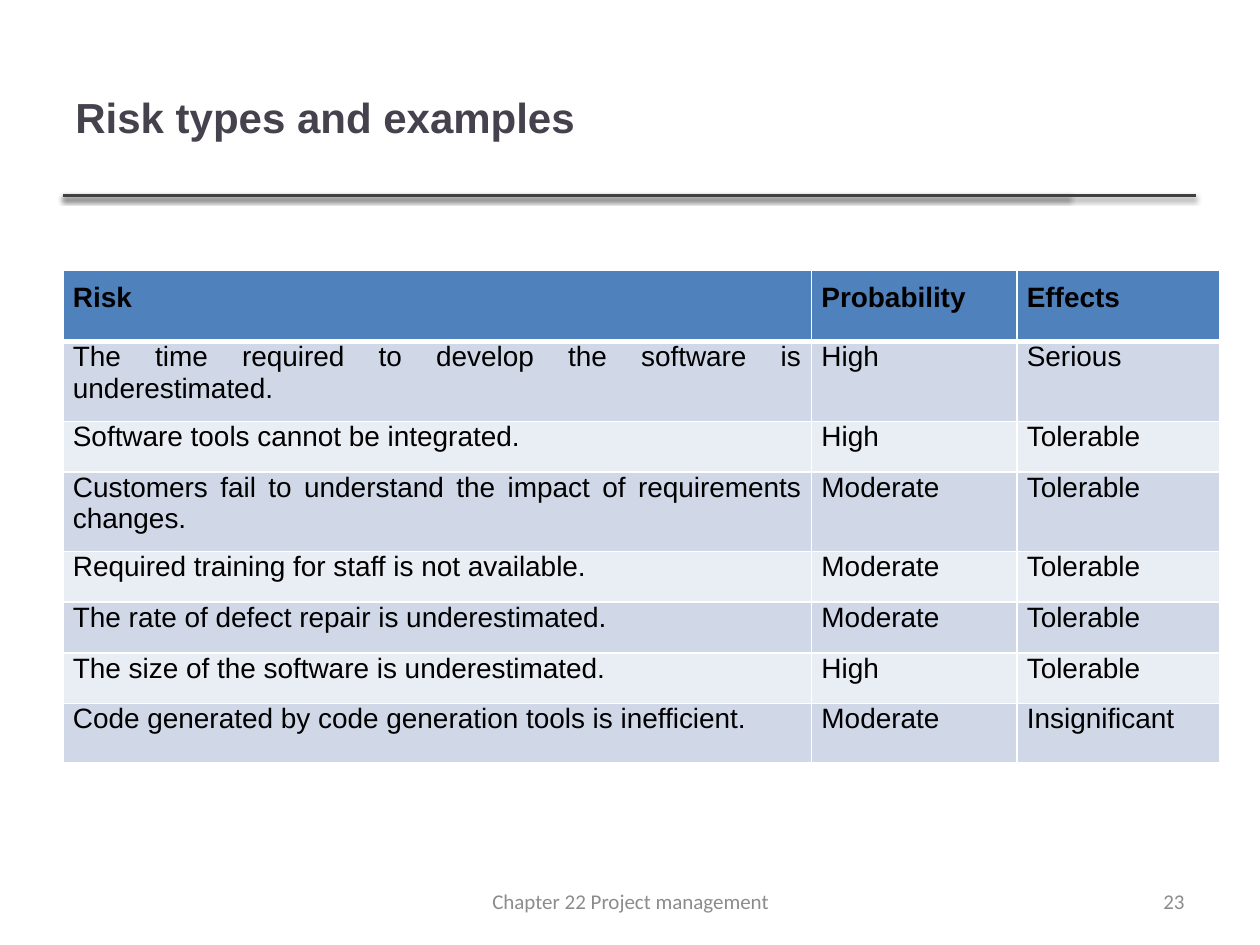
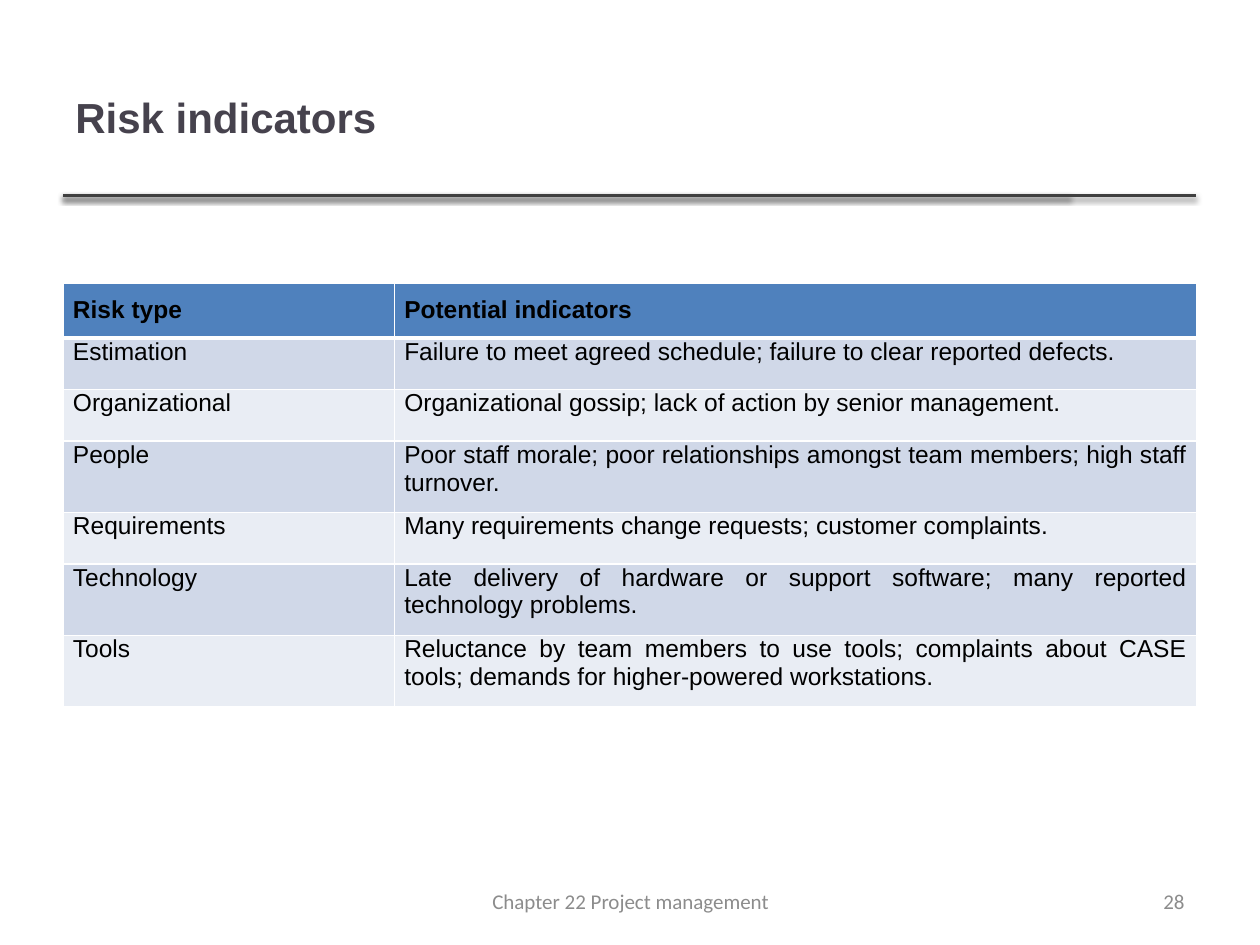
from collections import namedtuple

from lxml import etree
from pptx import Presentation
from pptx import util as u
from pptx.dml.color import RGBColor
from pptx.enum import shapes, text
from pptx.oxml import ns

Box = namedtuple("Box", "left top width height")

WHITE, BLACK = "FFFFFF", "000000"
RULE, TITLE, FOOTER = "404040", "46424D", "8C8C8C"
HEADER, BANDS = "4F81BD", ("D0D8E8", "E9EDF4")

MARGIN = 1.27
TITLE_BOX = Box(MARGIN, 0.76, 20.27, 3.18)
RULE_WIDTHS = (20.29, 22.83)
FOOTER_BOX = Box(8.69, 17.65, 15.44, 1.02)
CHAPTER_WIDTH, NUMBER_WIDTH = 8.05, 5.92
INSET = 0.2

RISKS = [
    ("Risk", "Probability", "Effects"),
    ("The time required to develop the software is underestimated.", "High", "Serious"),
    ("Software tools cannot be integrated.", "High", "Tolerable"),
    ("Customers fail to understand the impact of requirements changes.", "Moderate", "Tolerable"),
    ("Required training for staff is not available.", "Moderate", "Tolerable"),
    ("The rate of defect repair is underestimated.", "Moderate", "Tolerable"),
    ("The size of the software is underestimated.", "High", "Tolerable"),
    ("Code generated by code generation tools is inefficient.", "Moderate", "Insignificant"),
]
INDICATORS = [
    ("Risk type", "Potential indicators"),
    ("Estimation", "Failure to meet agreed schedule; failure to clear reported defects."),
    ("Organizational", "Organizational gossip; lack of action by senior management."),
    ("People", "Poor staff morale; poor relationships amongst team members; high staff turnover."),
    ("Requirements", "Many requirements change requests; customer complaints."),
    ("Technology", "Late delivery of hardware or support software; many reported technology problems."),
    ("Tools", "Reluctance by team members to use tools; complaints about CASE tools; "
              "demands for higher-powered workstations."),
]


def color(value):
    return RGBColor.from_string(value)


def add_xml(parent, tag, **attributes):
    return etree.SubElement(parent, ns.qn(tag), {key: str(value) for key, value in attributes.items()})


def style(paragraph, font_name, size, font_color, align, bold=False):
    paragraph.alignment = align
    for run in paragraph.runs:
        run.font.name = font_name
        run.font.size = u.Pt(size)
        run.font.bold = bold
        run.font.color.rgb = color(font_color)


def add_label(slide, box, wording, *look, bold=False):
    frame = slide.shapes.add_textbox(*map(u.Cm, box)).text_frame
    frame.word_wrap = True
    frame.vertical_anchor = text.MSO_ANCHOR.MIDDLE
    frame.text = wording
    style(frame.paragraphs[0], *look, bold=bold)


def add_rule(slide, left, top, width):
    rule = slide.shapes.add_connector(
        shapes.MSO_CONNECTOR.STRAIGHT, u.Cm(left), u.Cm(top), u.Cm(left + width), u.Cm(top))
    rule.line.color.rgb = color(RULE)
    rule.line.width = u.Pt(2)
    effects = add_xml(rule._element.spPr, "a:effectLst")
    shadow = add_xml(effects, "a:outerShdw", blurRad=u.Pt(3.1), dist=u.Pt(1.6),
                     dir=5400000, rotWithShape=0)
    add_xml(add_xml(shadow, "a:srgbClr", val=BLACK), "a:alpha", val=38000)


def add_heading(slide, box, wording):
    for width in RULE_WIDTHS:
        add_rule(slide, box.left, box.top + box.height, width)
    add_label(slide, box, wording, "Arial", 24, TITLE, text.PP_ALIGN.LEFT, bold=True)


def add_footer(slide, box, number):
    look = ("Calibri", 12, FOOTER)
    add_label(slide, box._replace(width=CHAPTER_WIDTH), "Chapter 22 Project management",
              *look, text.PP_ALIGN.CENTER)
    number_left = box.left + box.width - NUMBER_WIDTH
    add_label(slide, box._replace(left=number_left, width=NUMBER_WIDTH), str(number),
              *look, text.PP_ALIGN.RIGHT)


def add_borders(cell, row):
    widths = {"L": 1, "R": 1, "T": 3 if row == 1 else 1, "B": 3 if row == 0 else 1}
    for side, width in widths.items():
        border = add_xml(cell._tc.get_or_add_tcPr(), f"a:ln{side}", w=u.Pt(width))
        add_xml(add_xml(border, "a:solidFill"), "a:srgbClr", val=WHITE)


def fill_cell(cell, row, wording, size):
    is_header = row == 0
    add_borders(cell, row)
    cell.fill.solid()
    cell.fill.fore_color.rgb = color(HEADER if is_header else BANDS[(row - 1) % 2])
    cell.margin_left = cell.margin_right = u.Cm(INSET)
    cell.margin_top = u.Cm(0.25 if is_header else 0)
    cell.margin_bottom = u.Cm(0.25)
    cell.text = wording
    style(cell.text_frame.paragraphs[0], "Arial", size, BLACK, text.PP_ALIGN.JUSTIFY, bold=is_header)


def add_grid(slide, left, top, widths, heights, entries, size):
    box = Box(left, top, sum(widths), sum(heights))
    grid = slide.shapes.add_table(len(entries), len(widths), *map(u.Cm, box)).table
    for column, width in zip(grid.columns, widths):
        column.width = u.Cm(width)
    for row, (height, wordings) in enumerate(zip(heights, entries)):
        grid.rows[row].height = u.Cm(height)
        for column, wording in enumerate(wordings):
            fill_cell(grid.cell(row, column), row, wording, size)


def add_table_slide(deck, title, number, top, widths, heights, entries, size):
    slide = deck.slides.add_slide(deck.slide_layouts[6])
    add_heading(slide, TITLE_BOX, title)
    add_grid(slide, MARGIN, top, widths, heights, entries, size)
    add_footer(slide, FOOTER_BOX, number)


def main():
    deck = Presentation()
    deck.slide_width, deck.slide_height = u.Cm(25.4), u.Cm(19.05)
    add_table_slide(deck, "Risk types and examples", 23, 5.44, (15.09, 4.14, 4.09),
                    (1.45, 1.19, 1.02, 1.19, 1.02, 1.02, 1.02, 1.19), RISKS, 16)
    add_table_slide(deck, "Risk indicators", 28, 5.72, (6.68, 16.18),
                    [1.04] * len(INDICATORS), INDICATORS, 14)
    deck.save("out.pptx")


if __name__ == "__main__":
    main()
